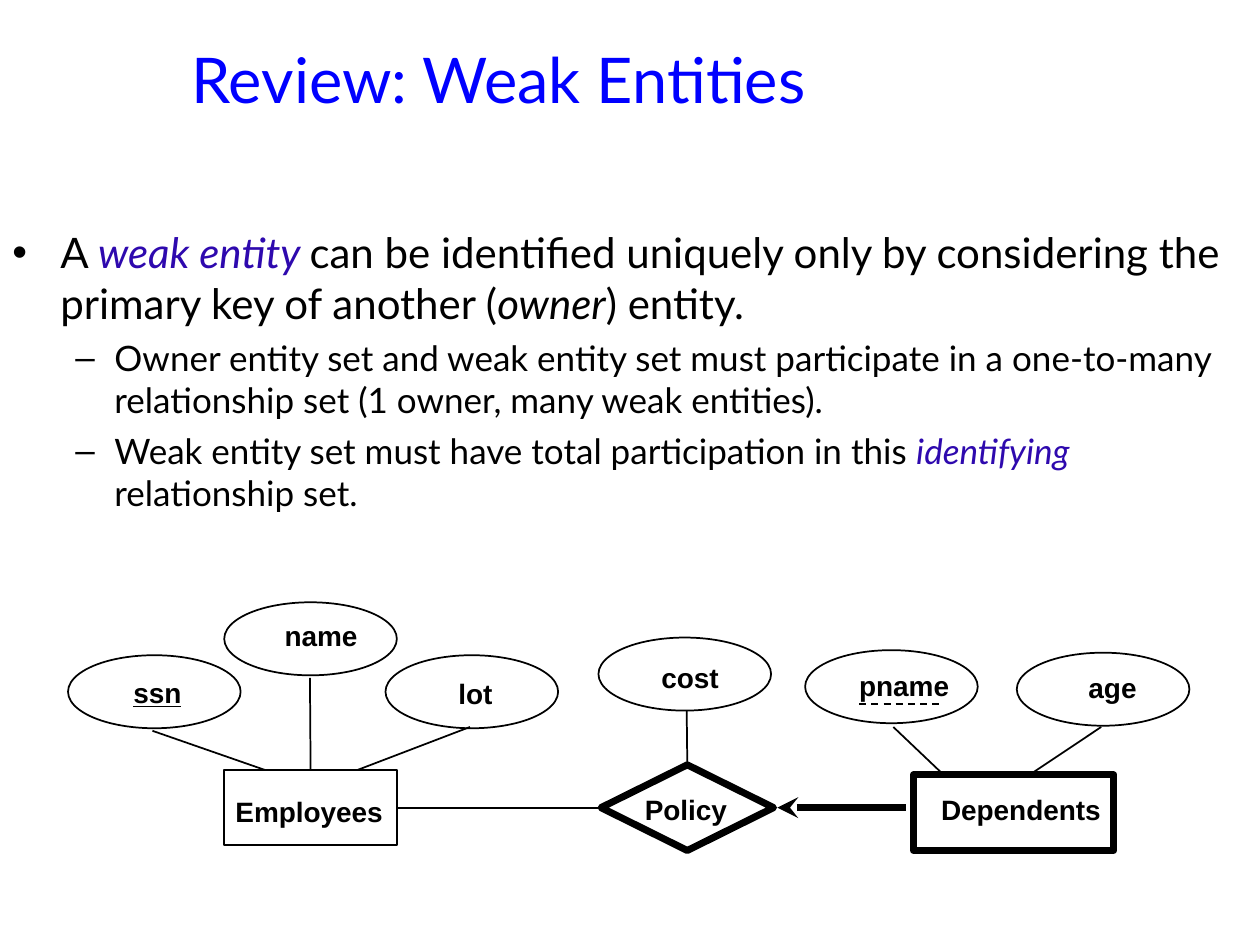
from pptx import Presentation
from pptx.dml.color import RGBColor
from pptx.enum.dml import MSO_LINE
from pptx.enum.shapes import MSO_CONNECTOR, MSO_SHAPE
from pptx.enum.text import MSO_ANCHOR, MSO_AUTO_SIZE, PP_ALIGN
from pptx.oxml.ns import qn
from pptx.util import Inches, Pt
from lxml.etree import SubElement

INK, BLUE, ACCENT = "000000", "0000FF", "2E09AE"
TITLE = "Review: Weak Entities"
TERM = {"italic": True, "color": ACCENT}
BODY = [
    (0, [("A ", {}), ("weak entity ", TERM),
         ("can be identified uniquely only by considering the primary key of another (", {}),
         ("owner", {"italic": True}), (") entity.", {})]),
    (1, [("Owner entity set and weak entity set must participate in a one-to-many "
          "relationship set (1 owner, many weak entities).", {})]),
    (1, [("Weak entity set must have total participation in this ", {}),
         ("identifying ", TERM), ("relationship set.", {})]),
]
LEVELS = [
    {"size": 24, "left": 0.38, "hang": 0.38, "before": 6, "mark": "•"},
    {"size": 20, "left": 0.81, "hang": 0.31, "before": 5, "mark": "–"},
]

OVAL, BOX, RHOMB = MSO_SHAPE.OVAL, MSO_SHAPE.RECTANGLE, MSO_SHAPE.DIAMOND
SIZES = {OVAL: (1.37, 0.58), BOX: (1.37, 0.6), RHOMB: (1.37, 0.68)}
WIDE = {"Dependents": 1.59}
THIN, THICK = 1, 4
NODES = [
    ("pname", OVAL, 6.39, 5.16, THIN, (6.72, 5.26, 0.98)),
    ("age", OVAL, 8.07, 5.18, THIN, (8.54, 5.27, 0.62)),
    ("ssn", OVAL, 0.54, 5.2, THIN, (0.96, 5.31, 0.62)),
    ("lot", OVAL, 3.06, 5.2, THIN, (3.54, 5.32, 0.52)),
    ("cost", OVAL, 4.75, 5.06, THIN, (5.15, 5.19, 0.72)),
    ("name", OVAL, 1.78, 4.78, THIN, (2.16, 4.86, 0.82)),
    ("Dependents", BOX, 7.25, 6.15, THICK, (7.37, 6.24, 1.52)),
    ("Employees", BOX, 1.78, 6.11, THIN, (1.77, 6.26, 1.42)),
    ("Policy", RHOMB, 4.77, 6.07, THICK, (5.02, 6.24, 0.9)),
]
TOP, LEFT, RIGHT = 0, 1, 3
LINKS = [
    ((2.46, 5.38), ("Employees", TOP)),
    ((1.21, 5.8), (2.1, 6.11)),
    ((3.73, 5.77), (2.84, 6.11)),
    ((5.45, 5.64), ("Policy", TOP)),
    ((7.09, 5.77), (7.49, 6.15)),
    ((8.74, 5.77), (8.17, 6.15)),
    (("Employees", RIGHT), ("Policy", LEFT)),
]
DASH = ((6.82, 5.59), (7.49, 5.59))
ARROW = ((6.17, 6.41), (7.19, 6.41))


def paint(code):
    return RGBColor.from_string(code)


def style(run, **form):
    form = {"name": "Lato", "color": INK, **form}
    run.font.color.rgb = paint(form.pop("color"))
    form["size"] = Pt(form["size"])
    for key, val in form.items():
        setattr(run.font, key, val)


def write(para, text, **form):
    run = para.add_run()
    run.text = text
    style(run, **form)


def place(shape, *dims):
    for key, val in zip(("left", "top", "width", "height"), dims):
        setattr(shape, key, Inches(val))


def bullet(para, level):
    form = LEVELS[level]
    props = para._p.get_or_add_pPr()
    props.set("marL", str(Inches(form["left"])))
    props.set("indent", str(-Inches(form["hang"])))
    SubElement(props, qn("a:buFont")).set("typeface", "Arial")
    SubElement(props, qn("a:buChar")).set("char", form["mark"])


def node(name, kind, left, top, weight, label):
    wide, high = SIZES[kind]
    shape = shapes.add_shape(kind, *map(Inches, (left, top, WIDE.get(name, wide), high)))
    shape.shadow.inherit = False
    shape.fill.background()
    shape.line.color.rgb = paint(INK)
    shape.line.width = Pt(weight)
    frame = shapes.add_textbox(*map(Inches, (*label, 0.36))).text_frame
    frame.word_wrap = True
    frame.auto_size = MSO_AUTO_SIZE.SHAPE_TO_FIT_TEXT
    write(frame.paragraphs[0], name, name="Arial", size=16,
          bold=True, underline=name == "ssn")
    return shape


def link(start, end, weight=THIN):
    def spot(point):
        return (0, 0) if isinstance(point[0], str) else point

    line = shapes.add_connector(MSO_CONNECTOR.STRAIGHT, *map(Inches, (*spot(start), *spot(end))))
    for point, join in ((start, line.begin_connect), (end, line.end_connect)):
        if isinstance(point[0], str):
            join(nodes[point[0]], point[1])
    line.line.color.rgb = paint(INK)
    line.line.width = Pt(weight)
    SubElement(line._element.spPr, qn("a:effectLst"))
    return line


deck = Presentation()
deck.slide_width, deck.slide_height = Inches(10), Inches(7.5)
slide = deck.slides.add_slide(deck.slide_layouts[5])
shapes = slide.shapes

title = shapes.title
place(title, 1.42, 0, 7.83, 1.25)
title.text_frame.vertical_anchor = MSO_ANCHOR.MIDDLE
head = title.text_frame.paragraphs[0]
head.alignment = PP_ALIGN.LEFT
write(head, TITLE, size=36, color=BLUE)

body = shapes.add_textbox(*map(Inches, (0, 1.75, 9.92, 5.42))).text_frame
body.word_wrap = True
for num, (level, runs) in enumerate(BODY):
    para = body.add_paragraph() if num else body.paragraphs[0]
    para.level = level
    bullet(para, level)
    if num:
        para.space_before = Pt(LEVELS[level]["before"])
    for text, form in runs:
        write(para, text, size=LEVELS[level]["size"], **form)

nodes = {item[0]: node(*item) for item in NODES}
for start, end in LINKS:
    link(start, end)
link(*DASH).line.dash_style = MSO_LINE.DASH
arrow = link(*ARROW, THICK)
SubElement(arrow.line._get_or_add_ln(), qn("a:headEnd")).set("type", "stealth")

deck.save("out.pptx")
